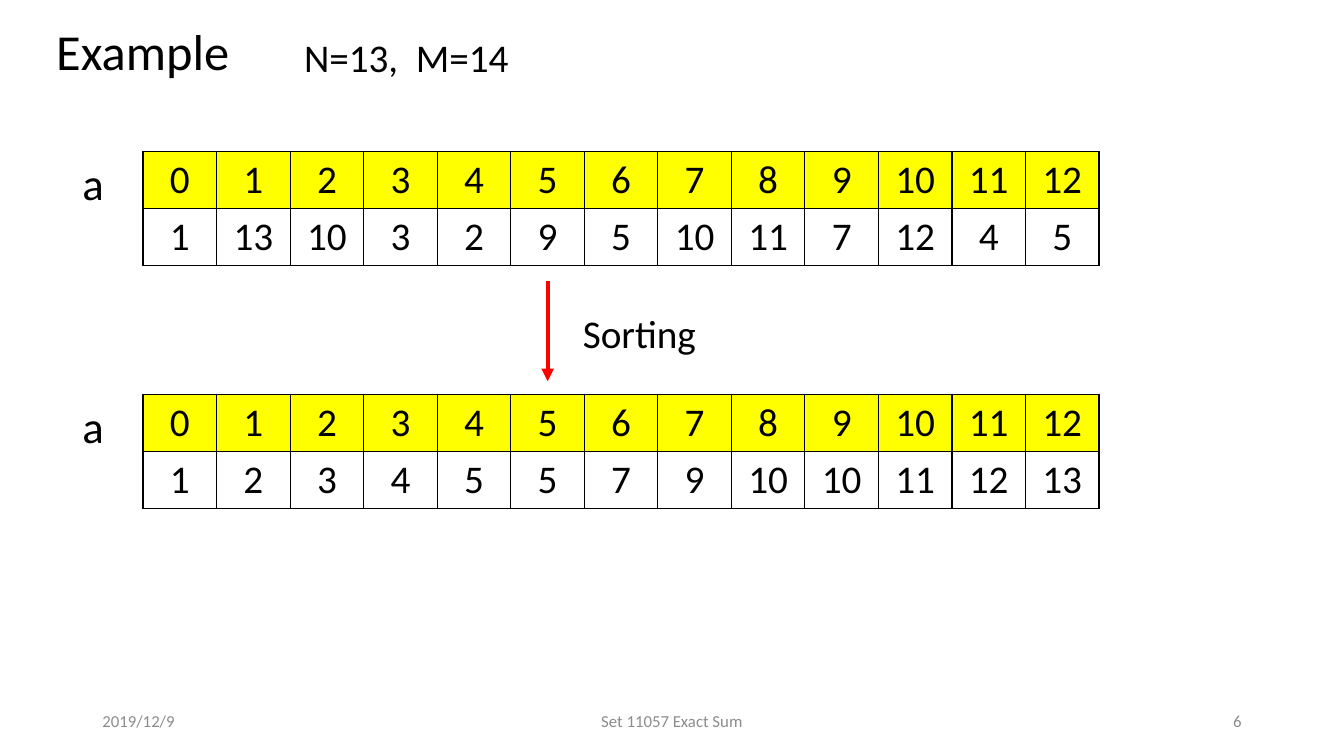
from lxml import etree
from pptx import Presentation
from pptx.dml.color import RGBColor
from pptx.enum.shapes import MSO_CONNECTOR
from pptx.enum.text import MSO_ANCHOR, PP_ALIGN
from pptx.oxml.ns import qn
from pptx.util import Pt

STRAIGHT = MSO_CONNECTOR.STRAIGHT
TOP, MIDDLE = MSO_ANCHOR.TOP, MSO_ANCHOR.MIDDLE
LEFT, CENTER, RIGHT = PP_ALIGN.LEFT, PP_ALIGN.CENTER, PP_ALIGN.RIGHT

FONT = "Calibri"
BLACK, GREY, YELLOW, RED = "000000", "8C8C8C", "FFFF00", "FF0000"
WIDE, HIGH = 960, 540
COL, ROW = 52.55, 40.8
GRID_X = 102.2
RAW = [1, 13, 10, 3, 2, 9, 5, 10, 11, 7, 12, 4, 5]


def color(code):
    return RGBColor.from_string(code)


def style(frame, size, code=BLACK, align=LEFT):
    for para in frame.paragraphs:
        para.alignment = align
        for run in para.runs:
            run.font.name = FONT
            run.font.size = Pt(size)
            run.font.color.rgb = color(code)


def label(slide, text, box, size, code=BLACK, align=LEFT, anchor=TOP):
    frame = slide.shapes.add_textbox(*map(Pt, box)).text_frame
    frame.word_wrap = True
    frame.vertical_anchor = anchor
    frame.text = text
    style(frame, size, code, align)


def border(cell):
    """Draw a thin black line on all four sides of the cell."""
    props = cell._tc.get_or_add_tcPr()
    for spot, side in enumerate(("a:lnL", "a:lnR", "a:lnT", "a:lnB")):
        line = etree.Element(qn(side), w=str(Pt(1)))
        fill = etree.SubElement(line, qn("a:solidFill"))
        etree.SubElement(fill, qn("a:srgbClr"), val=BLACK)
        props.insert(spot, line)


def array(slide, left, top, values):
    """Place the array's name, its index row and its value row."""
    label(slide, "a", (left - 50.4, top, 28.8, 46), 32)
    rows = [range(len(values)), values]
    table = slide.shapes.add_table(
        len(rows), len(values), Pt(left), Pt(top),
        Pt(COL * len(values)), Pt(ROW * len(rows))).table
    table.first_row = table.horz_banding = False
    for col in table.columns:
        col.width = Pt(COL)
    for r, row in enumerate(rows):
        table.rows[r].height = Pt(ROW)
        for c, value in enumerate(row):
            cell = table.cell(r, c)
            cell.text = str(value)
            cell.vertical_anchor = MIDDLE
            style(cell.text_frame, 28, BLACK, CENTER)
            if r == 0:
                cell.fill.solid()
                cell.fill.fore_color.rgb = color(YELLOW)
            else:
                cell.fill.background()
            border(cell)


def header(slide, left, top):
    label(slide, "Example", (left, top, 170.6, 51), 36)
    label(slide, "N=13,  M=14", (left + 177, top + 9.4, 170.6, 41), 28)


def step(slide, x, top, text):
    """Draw a downward arrow with its caption on the right."""
    arrow = slide.shapes.add_connector(
        STRAIGHT, Pt(x), Pt(top), Pt(x), Pt(top + 71.3))
    arrow.line.color.rgb = color(RED)
    arrow.line.width = Pt(3)
    etree.SubElement(arrow.line._get_or_add_ln(), qn("a:tailEnd"),
                     type="triangle")
    etree.SubElement(arrow._element.spPr, qn("a:effectLst"))
    label(slide, text, (x + 18, top + 16.5, 121, 41), 28)


def footer(slide, left, top, width):
    side, mid, high = 216, 324, 28.8
    parts = [
        ("2019/12/9", left, side, LEFT),
        ("Set 11057 Exact Sum", left + (width - mid) / 2, mid, CENTER),
        ("6", left + width - side, side, RIGHT),
    ]
    for text, x, wide, align in parts:
        label(slide, text, (x, top, wide, high), 12, GREY, align, MIDDLE)


def main():
    deck = Presentation()
    deck.slide_width, deck.slide_height = Pt(WIDE), Pt(HIGH)
    slide = deck.slides.add_slide(deck.slide_layouts[6])
    header(slide, 33.1, 10.8)
    array(slide, GRID_X, 108, RAW)
    step(slide, GRID_X + 5.5 * COL, 201, "Sorting")
    array(slide, GRID_X, 281.5, sorted(RAW))
    footer(slide, 66, 500.5, WIDE - 2 * 66)
    deck.save("out.pptx")


if __name__ == "__main__":
    main()
